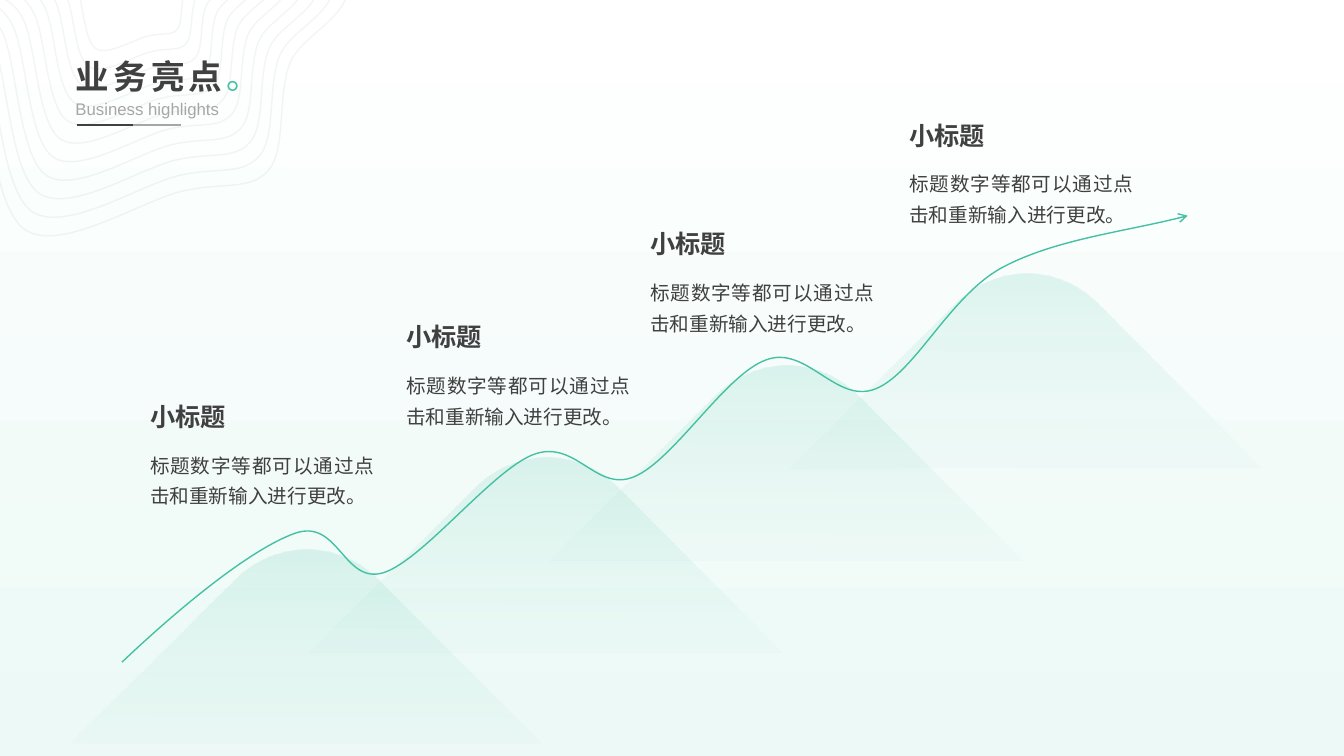
from math import cos, radians, sin

from lxml.etree import SubElement
from pptx import Presentation
from pptx.dml.color import RGBColor
from pptx.enum.shapes import MSO_CONNECTOR as Connector
from pptx.enum.text import MSO_AUTO_SIZE as AutoSize, PP_ALIGN as Align
from pptx.oxml.ns import qn
from pptx.util import Inches, Pt

COLORS = {
    "white": "FFFFFF", "mist": "ECF9F6", "green": "44C1A3",
    "contour": "1E5E70", "dark": "404040", "grey": "A6A6A6",
}
LATIN, CJK = "Arial", "Noto Sans CJK SC"
COMMANDS = {"M": "a:moveTo", "L": "a:lnTo", "C": "a:cubicBezTo", "Z": "a:close"}

# Contour lines run evenly from the outer ring to the inner ring
RING_COUNT = 11
OUTER_FRAME, INNER_FRAME = (-1.23, -1.92, 4.44, 4.25), (0.45, -0.93, 1.49, 1.43)
OUTER_RING = [
    (1.79, 1.9), (1.39, 2), (0.6, 2.51), (0.25, 2.28), (-0.09, 2.05), (-0.11, 0.91),
    (-0.29, 0.51), (-0.48, 0.11), (-0.82, 0.2), (-0.85, -0.14), (-0.89, -0.48),
    (-0.84, -1.2), (-0.5, -1.53), (-0.17, -1.87), (0.51, -2.36), (1.15, -2.16),
    (1.8, -1.96), (3.1, -0.82), (3.38, -0.35), (3.67, 0.12), (2.99, 0.3),
    (2.87, 0.64), (2.75, 0.98), (2.84, 1.49), (2.66, 1.69), (2.48, 1.9),
    (2.19, 1.8), (1.79, 1.9),
]
INNER_RING = [
    (1.46, 0.36), (1.33, 0.39), (1.06, 0.56), (0.95, 0.48), (0.83, 0.4), (0.83, 0.02),
    (0.76, -0.11), (0.7, -0.25), (0.59, -0.22), (0.57, -0.33), (0.56, -0.44),
    (0.58, -0.68), (0.69, -0.8), (0.81, -0.91), (1.03, -1.07), (1.25, -1.01),
    (1.47, -0.94), (1.9, -0.56), (2, -0.4), (2.09, -0.24), (1.87, -0.18),
    (1.83, -0.07), (1.79, 0.05), (1.81, 0.22), (1.76, 0.29), (1.7, 0.36),
    (1.6, 0.32), (1.46, 0.36),
]

# Each mountain repeats the first one, shifted right and up
MOUNTAIN_COUNT, MOUNTAIN_SHIFT = 4, (2.38, -0.91)
MOUNTAIN_FRAME = (0.8, 5.97, 4.47, 4.46)
MOUNTAIN = [
    ("M", (2.55, 10.87)), ("L", (3.51, 10.87)), ("L", (3.49, 10.89)),
    ("C", (3.2, 11.04), (2.85, 11.04), (2.56, 10.88)), ("Z",),
    ("M", (3.04, 5.45)), ("C", (3.3, 5.45), (3.55, 5.55), (3.75, 5.75)),
    ("L", (5.37, 7.38)), ("L", (0.69, 7.38)), ("L", (2.34, 5.74)),
    ("C", (2.53, 5.55), (2.79, 5.45), (3.04, 5.45)), ("Z",),
]

TREND_FRAME = (1.21, 2.14, 10.57, 4.43)
TREND = [
    (1.21, 6.57), (1.8, 6.01), (2.5, 5.44), (2.93, 5.29), (3.36, 5.14), (3.41, 5.81),
    (3.81, 5.68), (4.2, 5.55), (4.88, 4.67), (5.29, 4.51), (5.71, 4.35), (5.91, 4.89),
    (6.29, 4.73), (6.68, 4.57), (7.2, 3.71), (7.6, 3.57), (8, 3.42), (8.29, 4.01),
    (8.68, 3.86), (9.07, 3.71), (9.41, 2.95), (9.93, 2.66), (10.45, 2.38),
    (11.17, 2.3), (11.78, 2.14),
]
CAPTION_CORNERS = [(1.39, 3.93), (3.93, 3.14), (6.35, 2.22), (8.92, 1.14)]


def mix(first, second, share):
    return tuple(a + (b - a) * share for a, b in zip(first, second))


def smooth(points):
    """Turn a start point and triples of control points into path steps."""
    curves = [("C", *points[i:i + 3]) for i in range(1, len(points), 3)]
    return [("M", points[0]), *curves]


def color(name):
    return RGBColor.from_string(COLORS[name])


def add_span(para, text, size=14, ink="dark", bold=False, font=LATIN, spacing=0):
    span = para.add_run()
    span.text = text
    span.font.size, span.font.bold, span.font.name = Pt(size), bold, font
    span.font.color.rgb = color(ink)
    props = span.font._element
    SubElement(props, qn("a:ea")).set("typeface", CJK)
    if spacing:
        props.set("spc", str(spacing * 100))


def set_gradient(fill, stops, angle):
    fill.gradient()
    fill.gradient_angle = angle
    for stop, (position, name) in zip(fill.gradient_stops, stops):
        stop.position, stop.color.rgb = position, color(name)


def set_opacity(shape, *percents):
    for tint, percent in zip(shape.element.iter(qn("a:srgbClr")), percents):
        SubElement(tint, qn("a:alpha")).set("val", str(percent * 1000))


class Board:
    """Holds the line style and the current page."""

    def __init__(self, page, line_width=1):
        self.page, self.shapes = page, page.shapes
        self.line_width = Pt(line_width)

    def background(self, top, bottom):
        set_gradient(self.page.background.fill, [(0, top), (1, bottom)], 270)

    def outline(self, frame, steps, rotation=0):
        """Draw page-coordinate steps inside a frame turned by rotation."""
        left, top, width, height = frame
        builder = self.shapes.build_freeform(Inches(left), Inches(top))
        builder.add_line_segments([(Inches(left + width), Inches(top + height))], close=False)
        shape = builder.convert_to_shape()
        shape.shadow.inherit = False
        shape.rotation = rotation
        turn = radians(-rotation)
        path = shape.element.find(".//" + qn("a:path"))
        for child in list(path):
            path.remove(child)
        for command, *points in steps:
            step = SubElement(path, qn(COMMANDS[command]))
            for x, y in points:
                dx, dy = x - left - width / 2, y - top - height / 2
                point = SubElement(step, qn("a:pt"))
                point.set("x", str(Inches(width / 2 + dx * cos(turn) - dy * sin(turn))))
                point.set("y", str(Inches(height / 2 + dx * sin(turn) + dy * cos(turn))))
        return shape

    def curve(self, frame, steps, ink, rotation=0):
        shape = self.outline(frame, steps, rotation)
        shape.fill.background()
        shape.line.color.rgb, shape.line.width = color(ink), self.line_width
        return shape

    def mountain(self, frame, steps):
        shape = self.outline(frame, steps, 45.2)
        shape.line.fill.background()
        set_gradient(shape.fill, [(0.45, "white"), (1, "green")], 135)
        set_opacity(shape, 0, 20)

    def rule(self, left, right, y, ink):
        line = self.shapes.add_connector(
            Connector.STRAIGHT, Inches(left), Inches(y), Inches(right), Inches(y))
        line.line.color.rgb, line.line.width = color(ink), self.line_width
        SubElement(line.element.spPr, qn("a:effectLst"))

    def text(self, left, top, width, height, wrap=False):
        box = self.shapes.add_textbox(Inches(left), Inches(top), Inches(width), Inches(height))
        box.text_frame.word_wrap = wrap
        box.text_frame.auto_size = AutoSize.SHAPE_TO_FIT_TEXT
        return box.text_frame.paragraphs[0]


def main():
    deck = Presentation()
    deck.slide_width, deck.slide_height = Inches(13.33), Inches(7.5)
    board = Board(deck.slides.add_slide(deck.slide_layouts[6]))
    board.background("white", "mist")

    # Contour lines in the corner
    for index in range(RING_COUNT):
        share = index / (RING_COUNT - 1)
        ring = [mix(a, b, share) for a, b in zip(OUTER_RING, INNER_RING)]
        frame = mix(OUTER_FRAME, INNER_FRAME, share)
        contour = board.curve(frame, [*smooth(ring), ("Z",)], "contour", 214.4)
        set_opacity(contour, 5)

    # Heading
    board.rule(0.76, 1.8, 1.24, "grey")
    board.rule(0.76, 1.32, 1.24, "dark")
    para = board.text(0.65, 0.55, 2.1, 0.46)
    para.line_spacing, para.space_before = 0.9, Pt(10)
    add_span(para, "业务亮点", size=24, bold=True, spacing=3)
    add_span(para, "。", size=24, ink="green", font=CJK, spacing=3)
    para = board.text(0.65, 0.93, 1.64, 0.3)
    para.space_before = Pt(10)
    add_span(para, "Business highlights", size=12, ink="grey")

    # Mountains
    for index in range(MOUNTAIN_COUNT):
        dx, dy = (index * shift for shift in MOUNTAIN_SHIFT)
        left, top, width, height = MOUNTAIN_FRAME
        steps = [(command, *((x + dx, y + dy) for x, y in points))
                 for command, *points in MOUNTAIN]
        board.mountain((left + dx, top + dy, width, height), steps)

    # Rising arrow
    trend = board.curve(TREND_FRAME, smooth(TREND), "green")
    SubElement(trend.element.find(".//" + qn("a:ln")), qn("a:tailEnd")).set("type", "arrow")

    # Captions
    for left, top in CAPTION_CORNERS:
        para = board.text(left, top + 0.45, 2.42, 0.68, wrap=True)
        para.alignment, para.line_spacing = Align.JUSTIFY, 1.3
        add_span(para, "标题数字等都可以通过点击和重新输入进行更改。")
        add_span(board.text(left, top, 0.96, 0.4), "小标题", size=18, bold=True)

    deck.save("out.pptx")


if __name__ == "__main__":
    main()
